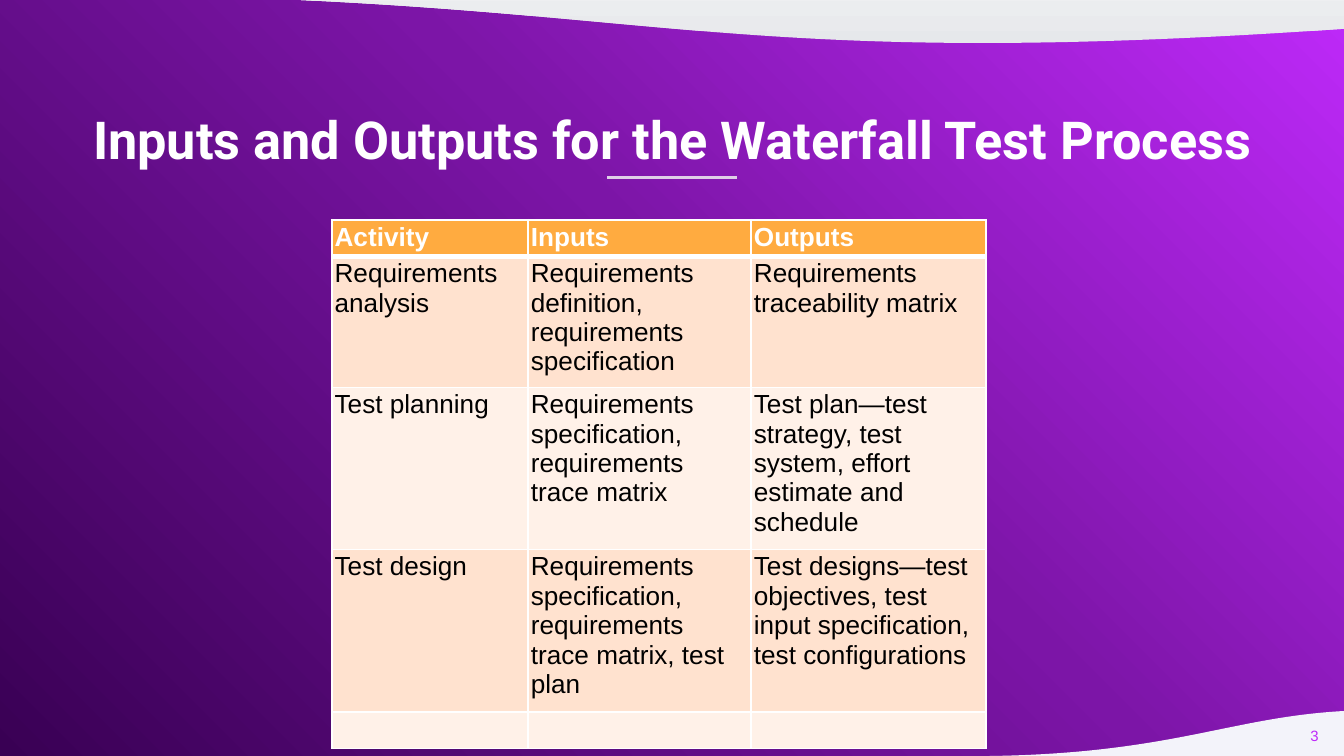
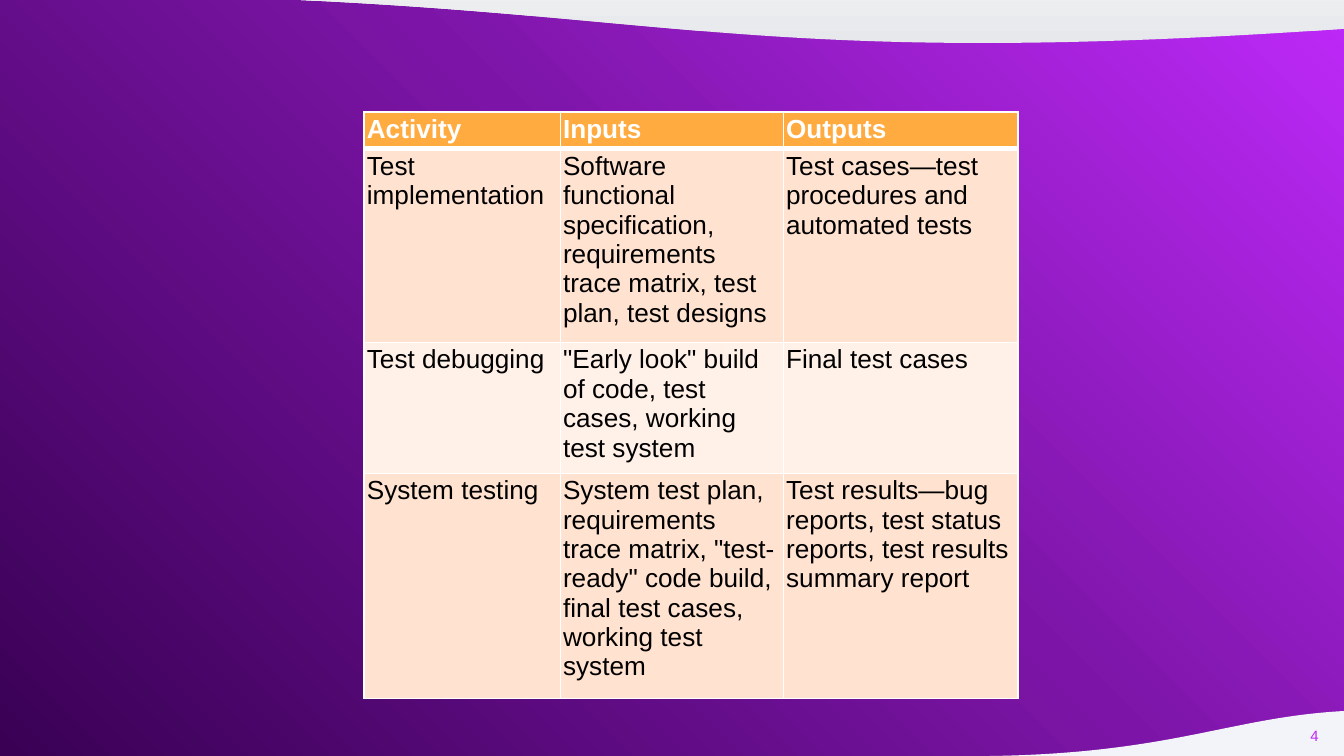
import copy

import pptx
import pptx.dml.color
import pptx.enum.shapes
import pptx.enum.text
import pptx.oxml
import pptx.oxml.ns
import pptx.util

# Grid: one column or row is a tenth of an inch
COLS, ROWS = 100, 56.25

# Shared palette
WHITE, BLACK, VIOLET, RULE = "FFFFFF", "000000", "BE29F9", "DFCFE7"
HEAD, BANDS = "FFAB40", ("FFE2CF", "FFF1E8")
BACK = [(0, VIOLET), (45, "7C15A7"), (100, "390054")]
GREY = [(0, "E6E8EB"), (34, "F3F4F5"), (100, WHITE)]
PALE = [(0, "F3F3FA"), (89, "F9F9FD"), (100, WHITE)]

# Table columns and cell padding, in grid units
WIDTHS = (14.6, 16.6, 17.45)
PAD = 0.2

ALIGN = pptx.enum.text.PP_ALIGN
ANCHOR = pptx.enum.text.MSO_ANCHOR

TITLE = "Inputs and Outputs for the Waterfall Test Process"
LABELS = ("Activity", "Inputs", "Outputs")

# Each row: its least height, then its cells; rows grow with their text
FIRST = [
    (1.8, LABELS),
    (6.5, ("Requirements analysis",
           "Requirements definition, requirements specification",
           "Requirements traceability matrix")),
    (8.1, ("Test planning",
           "Requirements specification, requirements trace matrix",
           "Test plan—test strategy, test system, effort estimate and schedule")),
    (8.1, ("Test design",
           "Requirements specification, requirements trace matrix, test plan",
           "Test designs—test objectives, test input specification, "
           "test configurations")),
    (1.8, ("", "", "")),
]
SECOND = [
    (0, LABELS),
    (0, ("Test implementation",
         "Software functional specification, requirements trace matrix, "
         "test plan, test designs",
         "Test cases—test procedures and automated tests")),
    (0, ("Test debugging",
         '"Early look" build of code, test cases, working test system',
         "Final test cases")),
    (0, ("System testing",
         'System test plan, requirements trace matrix, "test-ready" code build, '
         "final test cases, working test system",
         "Test results—bug reports, test status reports, "
         "test results summary report")),
]


def unit(num):
    return pptx.util.Inches(num / 10)


def box(*nums):
    return [unit(num) for num in nums]


def tint(code):
    return pptx.dml.color.RGBColor.from_string(code)


def style(item, **vals):
    for key, val in vals.items():
        setattr(item, key, val)


def pad(num):
    sides = ("left", "top", "right", "bottom")
    return {"margin_" + side: unit(num) for side in sides}


def write(para, text, size, code, face="Arial", bold=False):
    run = para.add_run()
    run.text = text
    style(run.font, name=face, size=pptx.util.Pt(size), bold=bold)
    run.font.color.rgb = tint(code)


def blend(fill, node, stops, angle):
    """Gradient fill; the angle runs counter-clockwise."""
    fill.gradient()
    fill.gradient_angle = angle
    group = next(node.iter(pptx.oxml.ns.qn("a:gsLst")))
    while len(group) < len(stops):
        group.append(copy.deepcopy(group[-1]))
    for stop, (place, code) in zip(fill.gradient_stops, stops):
        stop.position = place / 100
        stop.color.rgb = tint(code)


def wave(slide, place, stops, turn=0, flip=False):
    kind = pptx.enum.shapes.MSO_SHAPE.FLOWCHART_DOCUMENT
    shape = slide.shapes.add_shape(kind, *box(*place))
    style(shape, rotation=turn)
    style(shape.shadow, inherit=False)
    blend(shape.fill, shape.element, stops, 90)
    shape.line.fill.background()
    if flip:
        shape.element.spPr.xfrm.set("flipH", "1")


def frame(slide, num):
    """Backdrop, both waves and the page number."""
    blend(slide.background.fill, slide.element, BACK, 225)
    wave(slide, (-0.2, -16.45, 100.3, 19.9), GREY, flip=True)
    wave(slide, (72, 52.6, 41.8, 18.5), PALE, turn=180)
    text = slide.shapes.add_textbox(*box(93.1, 52.6, 6, 4.3)).text_frame
    style(text, word_wrap=True, vertical_anchor=ANCHOR.MIDDLE, **pad(1))
    para = text.paragraphs[0]
    style(para, alignment=ALIGN.RIGHT)
    write(para, str(num), 8, VIOLET)


def head(slide, text):
    """Title with the short rule below it."""
    kind = pptx.enum.shapes.MSO_CONNECTOR.STRAIGHT
    rule = slide.shapes.add_connector(kind, *box(45.2, 13.2, 54.8, 13.2))
    style(rule.line, width=pptx.util.Pt(1.5))
    rule.line.color.rgb = tint(RULE)
    rule.element.spPr.append(pptx.oxml.parse_xml(
        "<a:effectLst %s/>" % pptx.oxml.ns.nsdecls("a")))
    title = slide.shapes.title
    left, top, width, height = box(3.4, 7, 93.2, 5.7)
    style(title, left=left, top=top, width=width, height=height)
    style(title.text_frame, word_wrap=True, vertical_anchor=ANCHOR.TOP,
          auto_size=pptx.enum.text.MSO_AUTO_SIZE.NONE, **pad(1))
    para = title.text_frame.paragraphs[0]
    style(para, alignment=ALIGN.CENTER)
    write(para, text, 28, WHITE, "Roboto", True)


def edge(cell, **sides):
    """White borders; each side gets a width in points."""
    props = cell._tc.get_or_add_tcPr()
    for side, width in sides.items():
        props.append(pptx.oxml.parse_xml(
            '<a:ln%s %s w="%d"><a:solidFill><a:srgbClr val="%s"/>'
            "</a:solidFill></a:ln%s>" % (
                side, pptx.oxml.ns.nsdecls("a"),
                pptx.util.Pt(width), WHITE, side)))


def grid(slide, left, top, height, data):
    place = box(left, top, sum(WIDTHS), height)
    holder = slide.shapes.add_table(len(data), len(WIDTHS), *place)
    table = holder.table
    for col, width in zip(table.columns, WIDTHS):
        col.width = unit(width)
    for row, (least, texts) in enumerate(data):
        table.rows[row].height = unit(least)
        first = row == 0
        for col, text in enumerate(texts):
            cell = table.cell(row, col)
            style(cell, **pad(PAD))
            edge(cell, L=1, R=1, T=3 if row == 1 else 1, B=3 if first else 1)
            cell.fill.solid()
            cell.fill.fore_color.rgb = tint(HEAD if first else BANDS[(row - 1) % 2])
            para = cell.text_frame.paragraphs[0]
            if text:
                write(para, text, 14, WHITE if first else BLACK, bold=first)
            else:
                para._p.get_or_add_endParaRPr().set("sz", "1400")
    holder.height = unit(height)


def main():
    deck = pptx.Presentation()
    style(deck, slide_width=unit(COLS), slide_height=unit(ROWS))
    named, blank = deck.slide_layouts[5], deck.slide_layouts[6]

    # Titled slide
    slide = deck.slides.add_slide(named)
    frame(slide, 3)
    head(slide, TITLE)
    grid(slide, 24.7, 16.35, 37.1, FIRST)

    # Continued table
    slide = deck.slides.add_slide(blank)
    frame(slide, 4)
    grid(slide, 27.1, 8.35, 43.7, SECOND)

    deck.save("out.pptx")


if __name__ == "__main__":
    main()
